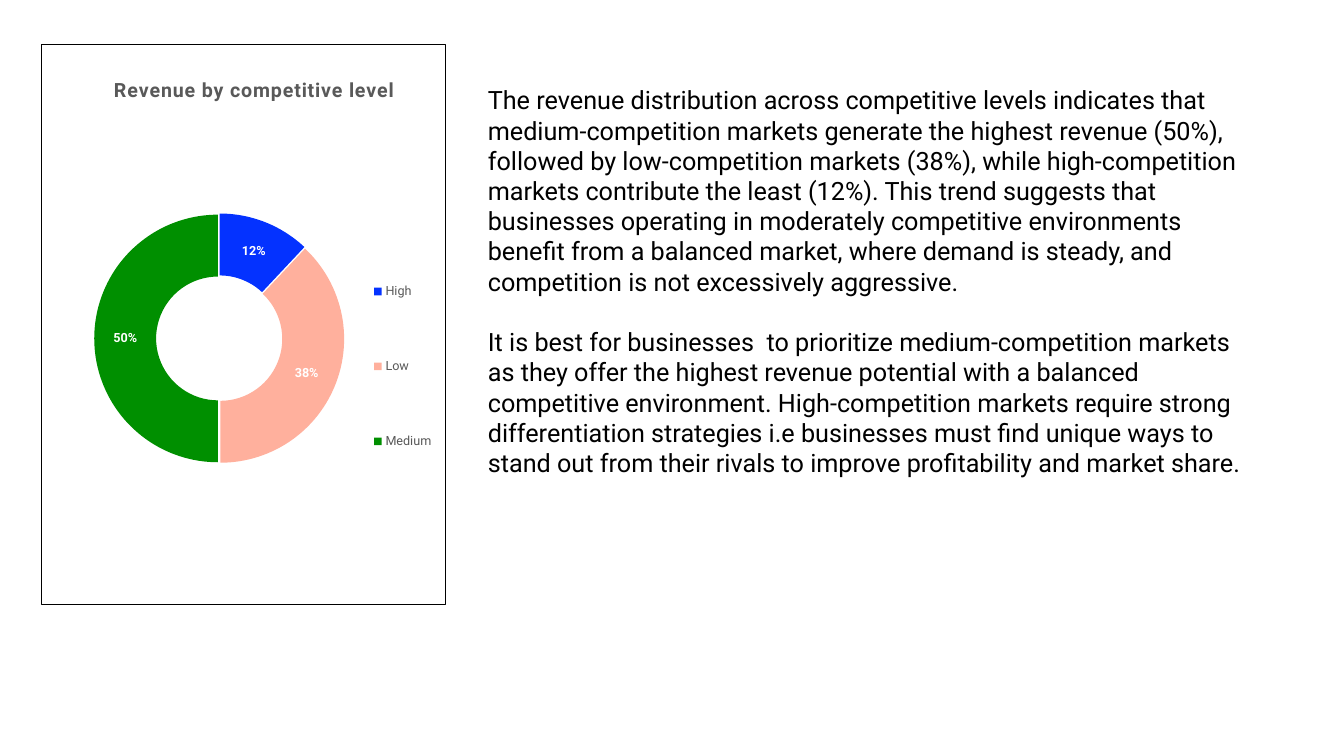
from lxml import etree
from pptx import Presentation
from pptx.chart.data import CategoryChartData
from pptx.dml.color import RGBColor
from pptx.enum.chart import XL_CHART_TYPE, XL_LEGEND_POSITION
from pptx.enum.text import MSO_ANCHOR, PP_ALIGN
from pptx.oxml import parse_xml
from pptx.oxml.ns import nsdecls, qn
from pptx.util import Inches, Pt

# Content
TITLE = "Revenue by competitive level"
REVENUE_SHARES = [("High", 12, "0432FF"), ("Low", 38, "FFB09D"), ("Medium", 50, "008F00")]
PARAGRAPHS = [
    "The revenue distribution across competitive levels indicates that medium-competition "
    "markets generate the highest revenue (50%), followed by low-competition markets (38%), "
    "while high-competition markets contribute the least (12%). This trend suggests that "
    "businesses operating in moderately competitive environments benefit from a balanced "
    "market, where demand is steady, and competition is not excessively aggressive.",
    "It is best for businesses  to prioritize medium-competition markets as they offer the "
    "highest revenue potential with a balanced competitive environment. High-competition "
    "markets require strong differentiation strategies i.e businesses must find unique ways "
    "to stand out from their rivals to improve profitability and market share.",
]

THEME = {
    "font": "Roboto", "text": "000000", "muted": "595959", "label": "FFFFFF",
    "title_size": 14, "chart_size": 10, "small_size": 9, "body_size": 18,
}

# Places: left, top, width, height in inches; layouts as shares of the chart
CHART_BOX = (0.41, 0.44, 4.01, 5.56)
TEXT_BOX = (4.74, 0.79, 7.82, 4.34)
TITLE_LAYOUT = {"x": 0.17, "y": 0.05}
PLOT_LAYOUT = {"x": 0.13, "y": 0.3, "w": 0.62, "h": 0.45}
LEGEND_LAYOUT = {"x": 0.81, "y": 0.32, "w": 0.17, "h": 0.51}


def style_font(font, size, color, bold=False):
    font.name = THEME["font"]
    font.size = Pt(size)
    font.bold = bold
    font.color.rgb = RGBColor.from_string(THEME[color])


def set_layout(element, shares, after=None, inner=False):
    """Place a chart part by hand, directly behind the named child."""
    for old in element.findall(qn("c:layout")):
        element.remove(old)
    layout = parse_xml(f"<c:layout {nsdecls('c')}><c:manualLayout/></c:layout>")
    settings = {"layoutTarget": "inner"} if inner else {}
    settings.update({f"{axis}Mode": "edge" for axis in "xy"})
    settings.update(shares)
    for name, value in settings.items():
        etree.SubElement(layout[0], qn(f"c:{name}")).set("val", str(value))
    if after:
        element.find(qn(after)).addnext(layout)
    else:
        element.insert(0, layout)


def add_revenue_chart(slide):
    data = CategoryChartData()
    data.categories = [name for name, _, _ in REVENUE_SHARES]
    data.add_series("Series 1", [share for _, share, _ in REVENUE_SHARES])
    box = [Inches(length) for length in CHART_BOX]
    chart = slide.shapes.add_chart(XL_CHART_TYPE.DOUGHNUT, *box, data).chart
    style_font(chart.font, THEME["chart_size"], "text")

    # Title
    chart.has_title = True
    run = chart.chart_title.text_frame.paragraphs[0].add_run()
    run.text = TITLE
    style_font(run.font, THEME["title_size"], "muted", bold=True)
    run.font._element.set("spc", "50")
    set_layout(chart.chart_title._element, TITLE_LAYOUT, after="c:tx")

    # Legend
    chart.has_legend = True
    chart.legend.position = XL_LEGEND_POSITION.RIGHT
    chart.legend.include_in_layout = False
    style_font(chart.legend.font, THEME["small_size"], "muted")
    set_layout(chart.legend._element, LEGEND_LAYOUT, after="c:legendPos")

    # Ring slices
    plot = chart.plots[0]
    plot.vary_by_categories = True
    plot._element.find(qn("c:holeSize")).set("val", "50")
    set_layout(plot._element.getparent(), PLOT_LAYOUT, inner=True)
    series = plot.series[0]
    explosion = parse_xml(f'<c:explosion {nsdecls("c")} val="2"/>')
    series._element.find(qn("c:tx")).addnext(explosion)
    for index, (_, _, color) in enumerate(REVENUE_SHARES):
        fill = series.points[index].format.fill
        fill.solid()
        fill.fore_color.rgb = RGBColor.from_string(color)

    # Percent labels
    plot.has_data_labels = True
    labels = plot.data_labels
    labels.show_percentage = True
    labels.show_value = False
    labels.number_format = "0%"
    labels.number_format_is_linked = False
    style_font(labels.font, THEME["small_size"], "label", bold=True)

    # Frame
    frame = parse_xml(
        f'<c:spPr {nsdecls("c", "a")}><a:noFill/><a:ln w="{Pt(0.75)}"><a:solidFill>'
        f'<a:srgbClr val="{THEME["text"]}"/></a:solidFill></a:ln></c:spPr>')
    chart._chartSpace.find(qn("c:chart")).addnext(frame)


def add_commentary(slide):
    text_box = slide.shapes.add_textbox(*[Inches(length) for length in TEXT_BOX])
    frame = text_box.text_frame
    frame.word_wrap = True
    frame.vertical_anchor = MSO_ANCHOR.TOP
    for index, text in enumerate(PARAGRAPHS):
        paragraph = frame.add_paragraph() if index else frame.paragraphs[0]
        paragraph.alignment = PP_ALIGN.LEFT
        paragraph.space_before = Pt(21.6 if index else 0)
        run = paragraph.add_run()
        run.text = text
        style_font(run.font, THEME["body_size"], "text")


def main():
    presentation = Presentation()
    presentation.slide_width = Inches(13.33)
    presentation.slide_height = Inches(7.5)
    slide = presentation.slides.add_slide(presentation.slide_layouts[6])
    add_revenue_chart(slide)
    add_commentary(slide)
    presentation.save("out.pptx")


if __name__ == "__main__":
    main()
